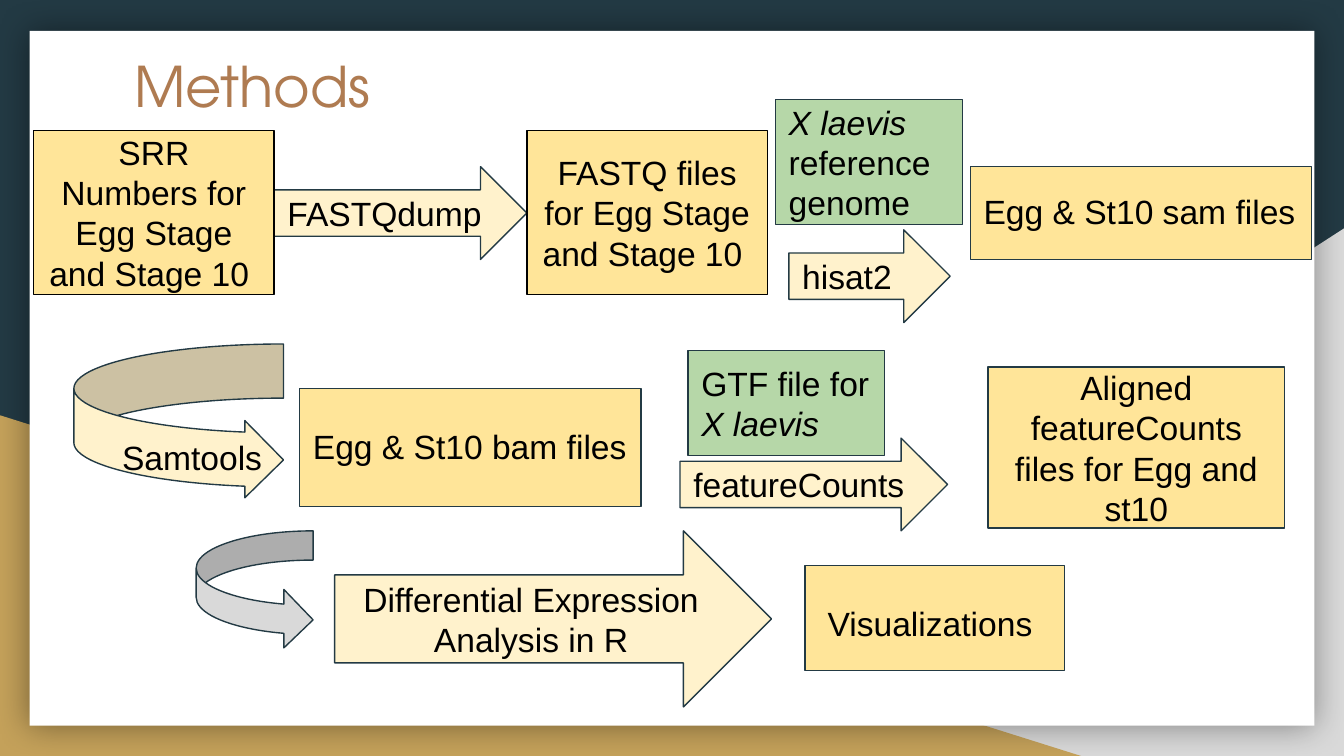
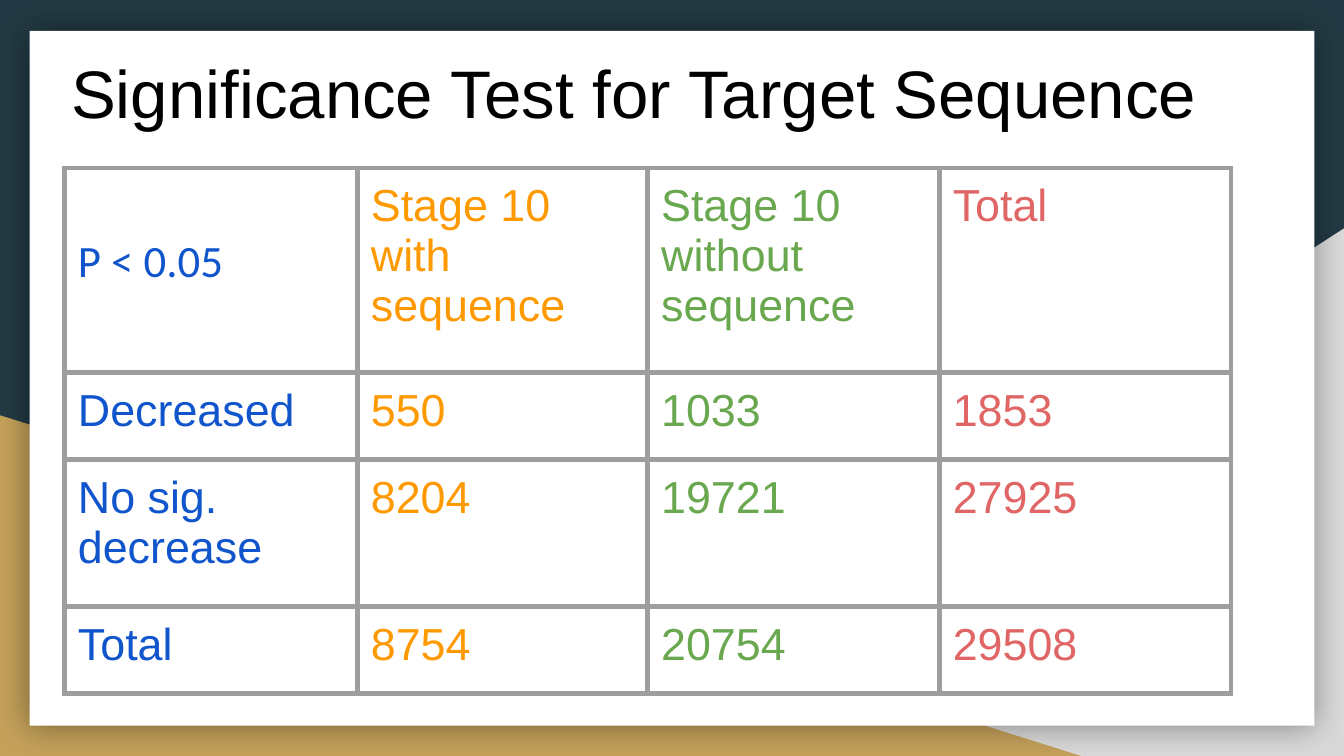
from lxml import etree
from pptx import Presentation
from pptx.dml.color import RGBColor
from pptx.enum.shapes import MSO_SHAPE
from pptx.enum.text import MSO_ANCHOR, MSO_AUTO_SIZE, PP_ALIGN
from pptx.oxml.ns import qn
from pptx.util import Inches, Pt

RECT, TRI = MSO_SHAPE.RECTANGLE, MSO_SHAPE.RIGHT_TRIANGLE
ARROW, CURVE = MSO_SHAPE.RIGHT_ARROW, MSO_SHAPE.CURVED_RIGHT_ARROW
LEFT, MID = PP_ALIGN.LEFT, PP_ALIGN.CENTER
TOP, CENTER = MSO_ANCHOR.TOP, MSO_ANCHOR.MIDDLE

# Shared look
WIDE = Inches(10)
HIGH = WIDE * 9 // 16
NAVY, GOLD, GREY, WHITE, BLACK = "233A44", "C4A15A", "D9D9D9", "FFFFFF", "000000"
YELLOW, CREAM, GREEN = "FFE599", "FFF2CC", "B6D7A8"
FONT, PAD = "Arial", 0.1

# Methods: files are yellow, references green, tools are arrows.
# Text is a list of paragraphs; each is a list of (words, italic) runs.
# The last two values of a file are its top and bottom padding.
FILES = [
    ("SRR Numbers for Egg Stage and Stage 10 ", (0.25, 0.97, 1.79, 1.22), BLACK, MID, PAD, PAD),
    ("FASTQ files for Egg Stage and Stage 10 ", (3.92, 0.97, 1.79, 1.22), BLACK, MID, PAD, PAD),
    ("Egg & St10 sam files", (7.22, 1.24, 2.54, 0.69), NAVY, LEFT, PAD, 0.13),
    ("Egg & St10 bam files", (2.23, 2.89, 2.54, 0.88), NAVY, LEFT, PAD, 0.13),
    ("Aligned featureCounts files for Egg and st10", (7.35, 2.73, 2.21, 1.2), NAVY, MID, PAD, PAD),
    (" Visualizations", (5.99, 4.21, 1.93, 0.78), NAVY, LEFT, 0.17, PAD),
]
TOOLS = [
    ("FASTQdump", (2.04, 1.24, 1.88, 0.69), LEFT),
    ("hisat2", (5.87, 1.71, 1.2, 0.69), LEFT),
    ("featureCounts", (5.06, 3.26, 1.99, 0.69), LEFT),
    ("Differential Expression Analysis in R", (2.49, 3.95, 3.25, 1.31), MID),
]
REFS = [
    ([[("X laevis ", True), ("reference genome", False)]], (5.77, 0.74, 1.39, 0.93)),
    ([[("GTF file for", False)], [("X laevis", True)]], (5.12, 2.61, 1.46, 0.78)),
]
TURNS = [
    ((0.55, 2.56, 1.56, 1.15), CREAM, (0.35, 0.5, 0.25)),
    ((1.46, 3.95, 0.87, 0.88), GREY, (0.25, 0.5, 0.25)),
]

# Significance test
COUNTS = [
    ("P < 0.05", "Stage 10 with sequence", "Stage 10 without sequence", "Total"),
    ("Decreased", "550", "1033", "1853"),
    ("No sig. decrease", "8204", "19721", "27925"),
    ("Total", "8754", "20754", "29508"),
]
INKS = ["1155CC", "FF9900", "6AA84F", "E06666"]
WIDTHS = [2.18, 2.16, 2.17, 2.17]
HEIGHTS = [1.52, 0.65, 1.09, 0.65]
EDGE = "9E9E9E"


def rgb(code):
    return RGBColor.from_string(code)


def place(box):
    return [Inches(v) for v in box]


def assign(item, **values):
    for key, value in values.items():
        setattr(item, key, value)


def pad(item):
    for side in ("left", "top", "right", "bottom"):
        setattr(item, "margin_" + side, Inches(PAD))


def write(frame, text, size=18, color=BLACK, font=FONT, align=LEFT):
    paras = [[(text, False)]] if isinstance(text, str) else text
    for i, runs in enumerate(paras):
        para = frame.add_paragraph() if i else frame.paragraphs[0]
        para.alignment = align
        for words, slant in runs:
            run = para.add_run()
            run.text = words
            assign(run.font, size=Pt(size), name=font, bold=False, italic=slant)
            run.font.color.rgb = rgb(color)


def fit(frame, anchor):
    assign(frame, word_wrap=True, auto_size=MSO_AUTO_SIZE.NONE, vertical_anchor=anchor)
    pad(frame)


def draw(slide, kind, box, fill, line=None, text=None, align=LEFT, adj=()):
    shape = slide.shapes.add_shape(kind, *place(box))
    shape.shadow.inherit = False
    shape.fill.solid()
    shape.fill.fore_color.rgb = rgb(fill)
    if line:
        shape.line.color.rgb = rgb(line)
        shape.line.width = Pt(0.75)
    else:
        shape.line.fill.background()
    for i, value in enumerate(adj):
        shape.adjustments[i] = value
    if text:
        fit(shape.text_frame, CENTER)
        write(shape.text_frame, text, align=align)
    return shape


def glow(shape):
    effects = shape.element.spPr.find(qn("a:effectLst"))
    soft = etree.SubElement(effects, qn("a:outerShdw"), blurRad=str(Pt(18)),
                            dist="0", dir="0", rotWithShape="0")
    tint = etree.SubElement(soft, qn("a:srgbClr"), val=BLACK)
    etree.SubElement(tint, qn("a:alpha"), val="40000")


def start(deck, title, box, **style):
    slide = deck.slides.add_slide(deck.slide_layouts[5])
    slide.background.fill.solid()
    slide.background.fill.fore_color.rgb = rgb(NAVY)

    # Corner triangles and white card
    corner = draw(slide, TRI, (3.92, 1.7, 6.08, 3.93), GREY)
    corner.element.spPr.find(qn("a:xfrm")).set("flipH", "1")
    draw(slide, TRI, (0, 3.09, 8.06, 2.54), GOLD)
    glow(draw(slide, RECT, (0.22, 0.23, 9.56, 5.17), WHITE))

    # Title in front of the card
    head = slide.shapes.title
    head.element.getparent().append(head.element)
    left, top, width, height = place(box)
    assign(head, left=left, top=top, width=width, height=height)
    fit(head.text_frame, TOP)
    write(head.text_frame, title, **style)
    return slide


def border(cell):
    props = cell._tc.get_or_add_tcPr()
    for i, side in enumerate(("a:lnL", "a:lnR", "a:lnT", "a:lnB")):
        line = etree.Element(qn(side), w=str(Pt(3)))
        fill = etree.SubElement(line, qn("a:solidFill"))
        etree.SubElement(fill, qn("a:srgbClr"), val=EDGE)
        props.insert(i, line)


def methods(deck):
    slide = start(deck, "Methods", (0.9, 0.28, 8.21, 1.04),
                  size=30, color="AF7B51", font="TeX Gyre Adventor")
    for text, box, align in TOOLS:
        draw(slide, ARROW, box, CREAM, NAVY, text, align)
    for text, box, line, align, top, low in FILES:
        shape = draw(slide, RECT, box, YELLOW, line, text, align)
        assign(shape.text_frame, margin_top=Inches(top), margin_bottom=Inches(low))
    for text, box in REFS:
        draw(slide, RECT, box, GREEN, NAVY, text)
    for box, fill, adj in TURNS:
        draw(slide, CURVE, box, fill, NAVY, adj=adj)
    label = slide.shapes.add_textbox(*place((0.81, 3.15, 1.3, 0.35)))
    fit(label.text_frame, TOP)
    write(label.text_frame, "Samtools")


def results(deck):
    slide = start(deck, "Significance Test for Target Sequence",
                  (0.43, 0.28, 9.45, 0.75), size=36)
    box = (0.48, 1.25, sum(WIDTHS), sum(HEIGHTS))
    table = slide.shapes.add_table(len(HEIGHTS), len(WIDTHS), *place(box)).table
    assign(table, first_row=False, horz_banding=False)
    for col, width in zip(table.columns, WIDTHS):
        col.width = Inches(width)
    for row, height, texts in zip(table.rows, HEIGHTS, COUNTS):
        row.height = Inches(height)
        for cell, text, ink in zip(row.cells, texts, INKS):
            pad(cell)
            cell.fill.background()
            border(cell)
            font = "Calibri" if text == COUNTS[0][0] else FONT
            write(cell.text_frame, text, 24, ink, font)
    # The corner label sits on the second line of the heading row
    table.cell(0, 0).margin_top = Inches(0.5)


def main():
    deck = Presentation()
    assign(deck, slide_width=WIDE, slide_height=HIGH)
    methods(deck)
    results(deck)
    deck.save("out.pptx")


if __name__ == "__main__":
    main()
